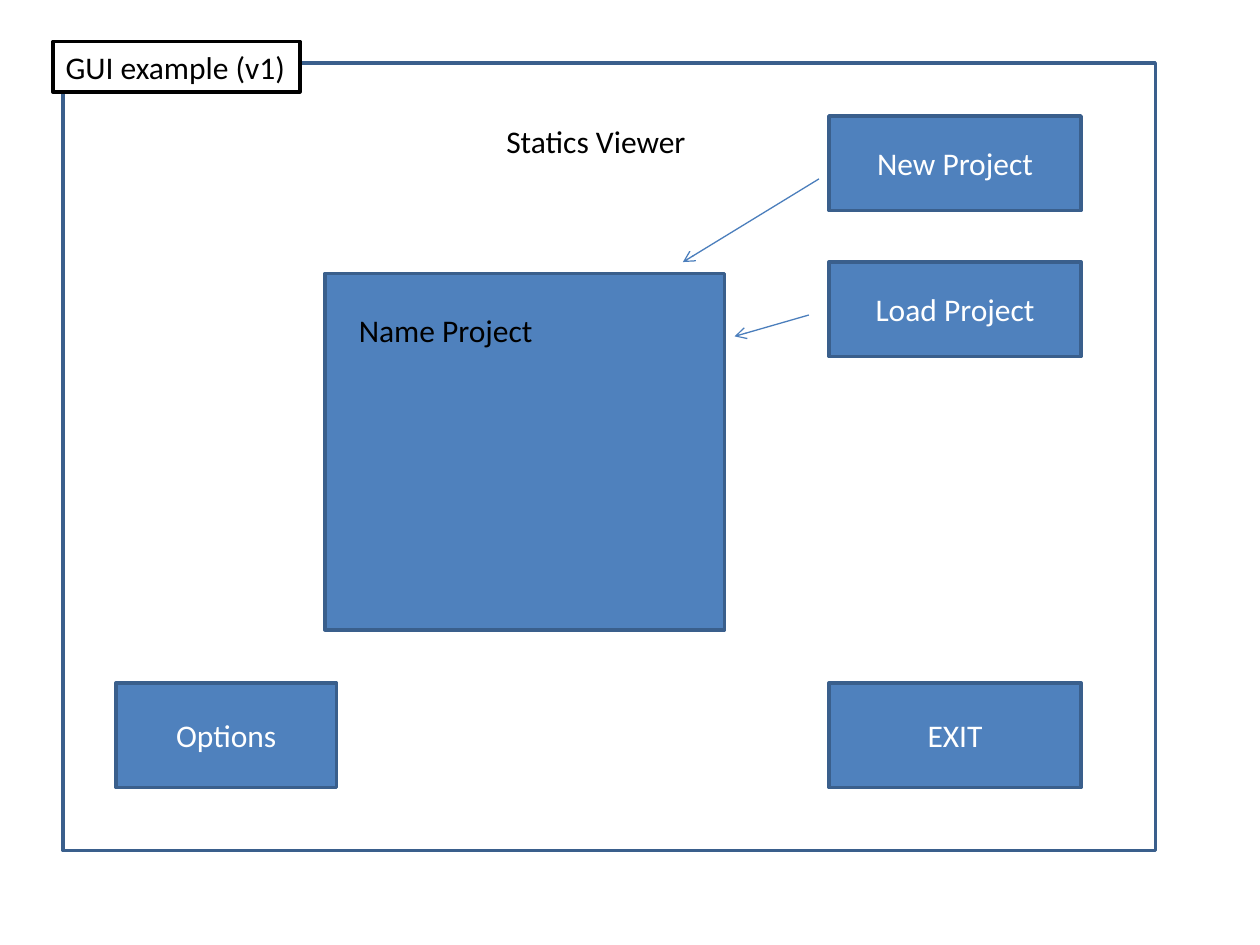
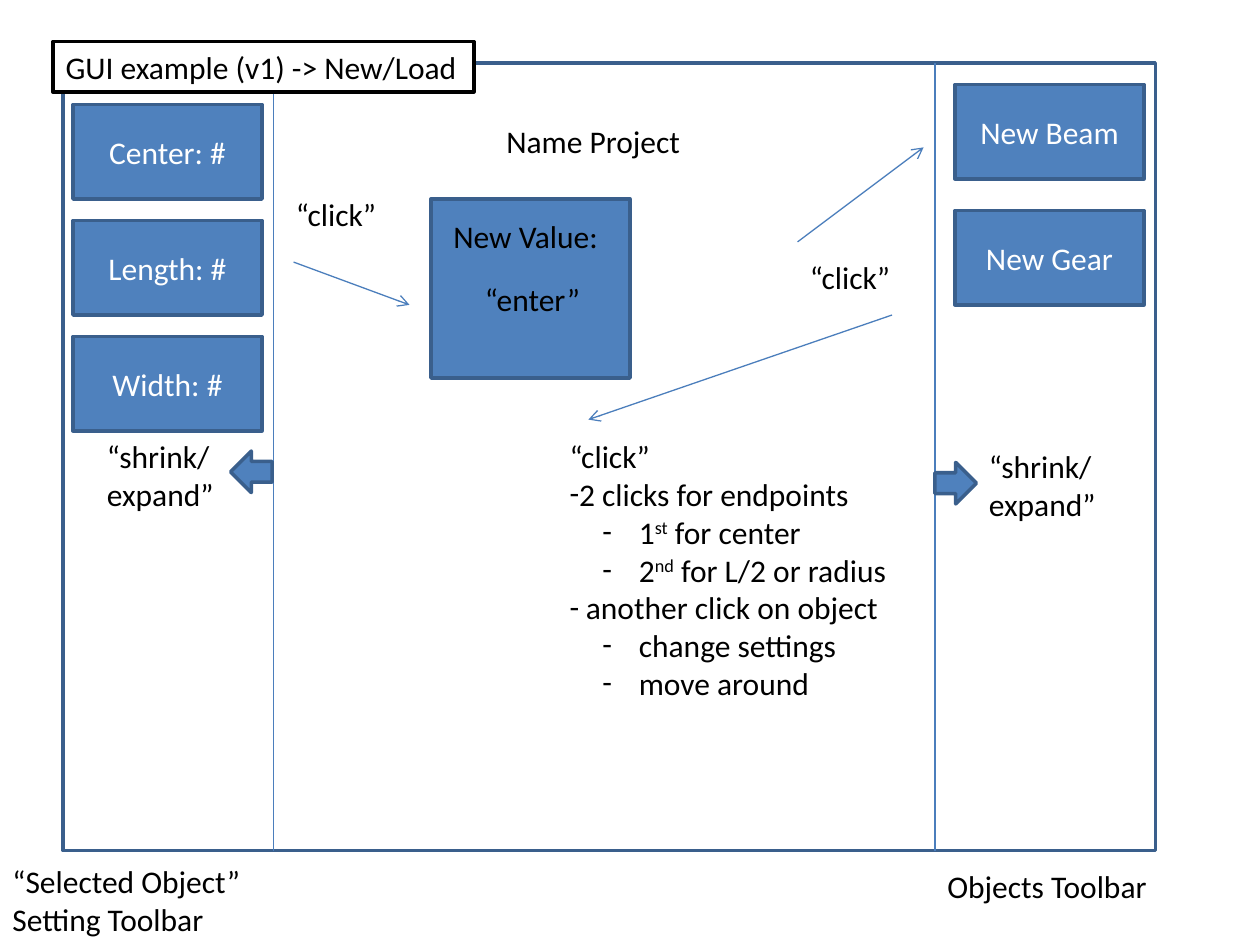
"""Build two wireframe slides of a statics viewer interface."""
from dataclasses import dataclass

from lxml import etree
from pptx import Presentation
from pptx.dml.color import RGBColor
from pptx.enum.shapes import MSO_CONNECTOR, MSO_SHAPE
from pptx.enum.text import MSO_ANCHOR, MSO_AUTO_SIZE, PP_ALIGN
from pptx.oxml.ns import qn
from pptx.util import Inches, Pt

RECTANGLE = MSO_SHAPE.RECTANGLE
LEFT_ARROW, RIGHT_ARROW = MSO_SHAPE.LEFT_ARROW, MSO_SHAPE.RIGHT_ARROW
STRAIGHT = MSO_CONNECTOR.STRAIGHT
TOP, MIDDLE = MSO_ANCHOR.TOP, MSO_ANCHOR.MIDDLE
LEFT, CENTER = PP_ALIGN.LEFT, PP_ALIGN.CENTER
NO_FIT, GROW = MSO_AUTO_SIZE.NONE, MSO_AUTO_SIZE.SHAPE_TO_FIT_TEXT


@dataclass(frozen=True)
class Theme:
    """Colours, type and line widths shared by both slides."""
    panel: RGBColor = RGBColor(0x4F, 0x81, 0xBD)
    outline: RGBColor = RGBColor(0x3A, 0x5F, 0x8C)
    pointer: RGBColor = RGBColor(0x4B, 0x7E, 0xBC)
    ink: RGBColor = RGBColor(0, 0, 0)
    paper: RGBColor = RGBColor(255, 255, 255)
    font: str = "Calibri"
    text_size: float = 18
    outline_width: float = 2
    pointer_width: float = 0.75


THEME = Theme()
WINDOW = (0.5, 0.5, 8.67, 6.25)
WINDOW_BOTTOM = WINDOW[1] + WINDOW[3]
TAB_LEFT, TAB_TOP, LINE_HEIGHT = 0.42, 0.33, 0.4
BUTTON_HEIGHT = 0.75
HANDLE_SIZE = 0.33
TITLE_AND_LIST, TITLE_ONLY = 1, 5
INDENTS = {"plain": (0, 0), "tight": (0, 0),
           "dash": (0.13, -0.13), "sub": (0.55, -0.29)}

SCREENS = [
    {
        "tab": ("GUI example (v1)", 1.96),
        "button_stacks": [
            (6.58, 0.92, 2, BUTTON_HEIGHT, 1.16, ["New Project", "Load Project"]),
            (6.58, 5.42, 2, 0.83, 0, ["EXIT"]),
            (0.92, 5.42, 1.75, 0.83, 0, ["Options"]),
        ],
        "panel": (2.58, 2.17, 3.17, 2.83),
        "labels": [
            (3.92, 0.92, 1.7, ["Statics Viewer"]),
            (2.75, 2.42, 1.6, ["Name Project"]),
        ],
        "pointers": [((6.5, 1.42), (5.42, 2.08)), ((6.42, 2.5), (5.83, 2.67))],
    },
    {
        "tab": ("GUI example (v1) -> New/Load", 3.34),
        "dividers": [2.17, 7.42],
        "button_stacks": [
            (7.58, 0.67, 1.5, BUTTON_HEIGHT, 1, ["New Beam", "New Gear"]),
            (0.58, 0.83, 1.5, BUTTON_HEIGHT, 0.92,
             ["Center: #", "Length: #", "Width: #"]),
        ],
        "panel": (3.42, 1.58, 1.58, 1.42),
        "handles": [(RIGHT_ARROW, 7.42, 3.67), (LEFT_ARROW, 1.83, 3.58)],
        "labels": [
            (3.92, 0.92, 1.6, ["Name Project"]),
            (7.75, 3.5, 1.06, ["“shrink/", "expand”"]),
            (0.75, 3.42, 1.06, ["“shrink/", "expand”"]),
            (6.33, 2, 0.84, ["“click”"]),
            (2.25, 1.5, 0.84, ["“click”"]),
            (3.5, 1.67, 1.36, ["New Value:"]),
            (3.75, 2.17, 0.97, ["“enter”"]),
            (7.42, 6.83, 1.8, ["Objects Toolbar"]),
            (0, 6.79, 2.09, ["“Selected Object”", "Setting Toolbar"]),
        ],
        "pointers": [
            ((6.33, 1.92), (7.33, 1.17)),
            ((7.08, 2.5), (4.67, 3.33)),
            ((2.33, 2.08), (3.25, 2.42)),
        ],
        "steps": ((4.42, 3.42, 2.85, 2.22), [
            ("plain", "“click”"),
            ("tight", "2 clicks for endpoints"),
            ("sub", "1^st^ for center"),
            ("sub", "2^nd^ for L/2 or radius"),
            ("dash", "another click on object"),
            ("sub", "change settings"),
            ("sub", "move around"),
        ]),
    },
]


def inches(values):
    return [Inches(value) for value in values]


def write_text(shape, lines, color=THEME.ink, align=LEFT, anchor=TOP,
               wrap=False, fit=NO_FIT):
    """Fill a shape with lines; text between carets is superscript."""
    frame = shape.text_frame
    frame.word_wrap, frame.auto_size, frame.vertical_anchor = wrap, fit, anchor
    for index, line in enumerate(lines):
        paragraph = frame.add_paragraph() if index else frame.paragraphs[0]
        paragraph.alignment = align
        for part, text in enumerate(line.split("^")):
            run = paragraph.add_run()
            run.text = text
            run.font.name, run.font.size = THEME.font, Pt(THEME.text_size)
            run.font.color.rgb = color
            if part % 2:
                run.font._element.set("baseline", "30000")


def style_outline(shape, fill=None, line=THEME.outline):
    if fill is None:
        shape.fill.background()
    else:
        shape.fill.solid()
        shape.fill.fore_color.rgb = fill
    shape.line.color.rgb = line
    shape.line.width = Pt(THEME.outline_width)


def place(shape, box):
    shape.left, shape.top, shape.width, shape.height = inches(box)


def add_block(slide, box, fill=THEME.panel, preset=RECTANGLE):
    block = slide.shapes.add_shape(preset, *inches(box))
    block.shadow.inherit = False
    style_outline(block, fill)
    return block


def add_line(slide, start, end, arrow=False):
    line = slide.shapes.add_connector(STRAIGHT, *inches(start + end))
    line.line.color.rgb = THEME.pointer
    line.line.width = Pt(THEME.pointer_width)
    if arrow:
        etree.SubElement(line.line._get_or_add_ln(), qn("a:tailEnd"), type="arrow")
    etree.SubElement(line._element.spPr, qn("a:effectLst"))


def add_steps(slide, box, steps):
    body = slide.placeholders[1]
    place(body, box)
    write_text(body, [text for _, text in steps])
    for paragraph, (kind, _) in zip(body.text_frame.paragraphs, steps):
        paragraph.level = int(kind == "sub")
        paragraph.space_before = Pt(0)
        margin, indent = INDENTS[kind]
        properties = paragraph._p.get_or_add_pPr()
        properties.set("marL", str(Inches(margin)))
        properties.set("indent", str(Inches(indent)))
        if kind == "plain":
            etree.SubElement(properties, qn("a:buNone"))
        else:
            etree.SubElement(properties, qn("a:buFont"), typeface=THEME.font)
            etree.SubElement(properties, qn("a:buChar"), char="-")


def add_tab(slide, text, width):
    tab = slide.shapes.title
    place(tab, (TAB_LEFT, TAB_TOP, width, LINE_HEIGHT))
    style_outline(tab, THEME.paper, THEME.ink)
    write_text(tab, [text])
    tab.element.getparent().append(tab.element)


def build_screen(deck, screen):
    layout = TITLE_AND_LIST if "steps" in screen else TITLE_ONLY
    slide = deck.slides.add_slide(deck.slide_layouts[layout])
    add_block(slide, WINDOW, fill=None)
    for x in screen.get("dividers", []):
        add_line(slide, (x, WINDOW[1]), (x, WINDOW_BOTTOM))
    add_block(slide, screen["panel"])
    for left, top, width, height, pitch, captions in screen["button_stacks"]:
        for row, caption in enumerate(captions):
            button = add_block(slide, (left, top + row * pitch, width, height))
            write_text(button, [caption], color=THEME.paper, align=CENTER,
                       anchor=MIDDLE, wrap=True)
    for preset, left, top in screen.get("handles", []):
        add_block(slide, (left, top, HANDLE_SIZE, HANDLE_SIZE), preset=preset)
    for left, top, width, lines in screen["labels"]:
        height = LINE_HEIGHT + 0.31 * (len(lines) - 1)
        label = slide.shapes.add_textbox(*inches((left, top, width, height)))
        write_text(label, lines, fit=GROW)
    for start, end in screen["pointers"]:
        add_line(slide, start, end, arrow=True)
    if "steps" in screen:
        add_steps(slide, *screen["steps"])
    add_tab(slide, *screen["tab"])


def main():
    deck = Presentation()
    deck.slide_width, deck.slide_height = Inches(10), Inches(7.5)
    for screen in SCREENS:
        build_screen(deck, screen)
    deck.save("out.pptx")


if __name__ == "__main__":
    main()
